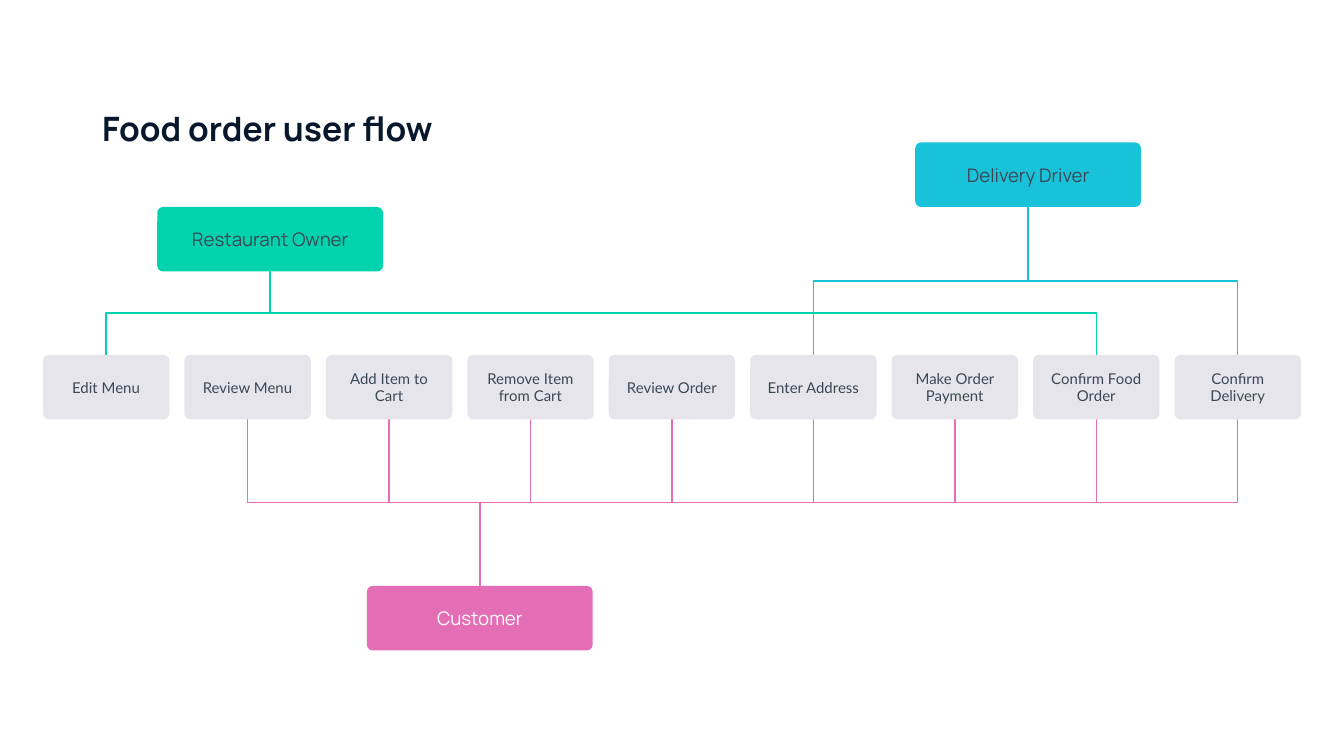
from pptx import Presentation
from pptx import util as u
from pptx.dml.color import RGBColor
from pptx.enum import shapes, text
from pptx.oxml.ns import qn
from lxml import etree

# Grid of the task row, in inches
LEFT, PITCH = 0.32, (8.74 - 0.32) / 8
TOP, WIDE, HIGH = 2.64, 0.94, 0.48
ROLE_W = 1.68

GREY, DARK = "E5E5EB", "3C4856"
TASKS = ["Edit Menu", "Review Menu", "Add Item to Cart",
         "Remove Item from Cart", "Review Order", "Enter Address",
         "Make Order Payment", "Confirm Food Order", "Confirm Delivery"]
# Name, left, top, fill, text colour, columns of the linked tasks
ROLES = [("Restaurant Owner", 1.17, 1.54, "00D3AD", DARK, [0, 7]),
         ("Delivery Driver", 6.81, 1.06, "18C3D9", DARK, [5, 8]),
         ("Customer", 2.73, 4.36, "E46EB5", "FCFCFC", range(1, 9))]


def paint(fmt, tone):
    """Give a fill a solid colour."""
    fmt.solid()
    fmt.fore_color.rgb = RGBColor.from_string(tone)


def write(frame, words, font, size, tone, align, anchor, bold=False):
    frame.text = words
    frame.word_wrap = True
    frame.auto_size = text.MSO_AUTO_SIZE.NONE
    frame.vertical_anchor = anchor
    frame.margin_left = frame.margin_right = u.Inches(0.1)
    frame.margin_top = frame.margin_bottom = u.Inches(0.1)
    par = frame.paragraphs[0]
    par.alignment = align
    face = par.runs[0].font
    face.name, face.size, face.bold = font, u.Pt(size), bold
    paint(face.fill, tone)


def add_title(slide, words):
    title = slide.shapes.title
    title.left, title.top = u.Inches(0.66), u.Inches(0.7)
    title.width, title.height = u.Inches(4.3), u.Inches(0.59)
    write(title.text_frame, words, "Manrope", 18, "07182C",
          text.PP_ALIGN.LEFT, text.MSO_ANCHOR.TOP, True)


def add_box(slide, words, x, y, wide, fill, font, size, tone):
    box = slide.shapes.add_shape(
        shapes.MSO_SHAPE.ROUNDED_RECTANGLE,
        u.Inches(x), u.Inches(y), u.Inches(wide), u.Inches(HIGH))
    box.adjustments[0] = 0.09
    box.shadow.inherit = False
    paint(box.fill, fill)
    box.line.fill.background()
    write(box.text_frame, words, font, size, tone,
          text.PP_ALIGN.CENTER, text.MSO_ANCHOR.MIDDLE)


def add_link(slide, x1, y1, x2, y2, tone):
    """Draw an elbow that leaves and arrives vertically."""
    # A quarter turn swaps the width and height around the centre
    run, rise = abs(y2 - y1), abs(x2 - x1)
    x, y = (x1 + x2 - run) / 2, (y1 + y2 - rise) / 2
    ends = [x, x + run]
    if (x2 > x1) == (y2 > y1):
        ends.reverse()
    link = slide.shapes.add_connector(
        shapes.MSO_CONNECTOR.ELBOW, u.Inches(ends[0]), u.Inches(y),
        u.Inches(ends[1]), u.Inches(y + rise))
    turn = 270 if x2 > x1 else 90
    props = link._element.spPr
    props.find(qn("a:xfrm")).set("rot", str(turn * 60000))
    paint(link.line.fill, tone)
    link.line.width = u.Pt(0.75)
    etree.SubElement(props, qn("a:effectLst"))


def add_role(slide, name, x, y, fill, tone, cols):
    """Draw a role and its links to the task row."""
    above = y < TOP
    start = y + HIGH if above else y
    end = TOP if above else TOP + HIGH
    for col in cols:
        goal = LEFT + col * PITCH + WIDE / 2
        add_link(slide, x + ROLE_W / 2, start, goal, end, fill)
    add_box(slide, name, x, y, ROLE_W, fill, "Manrope", 10, tone)


def main():
    # Slide in 16:9
    deck = Presentation()
    deck.slide_width = u.Inches(10)
    deck.slide_height = u.Inches(10 * 9 / 16)
    slide = deck.slides.add_slide(deck.slide_layouts[5])
    add_title(slide, "Food order user flow")

    # Roles with their links
    for role in ROLES:
        add_role(slide, *role)

    # Row of tasks
    for col, task in enumerate(TASKS):
        add_box(slide, task, LEFT + col * PITCH, TOP, WIDE,
                GREY, "Lato", 8, DARK)

    deck.save("out.pptx")


if __name__ == "__main__":
    main()
